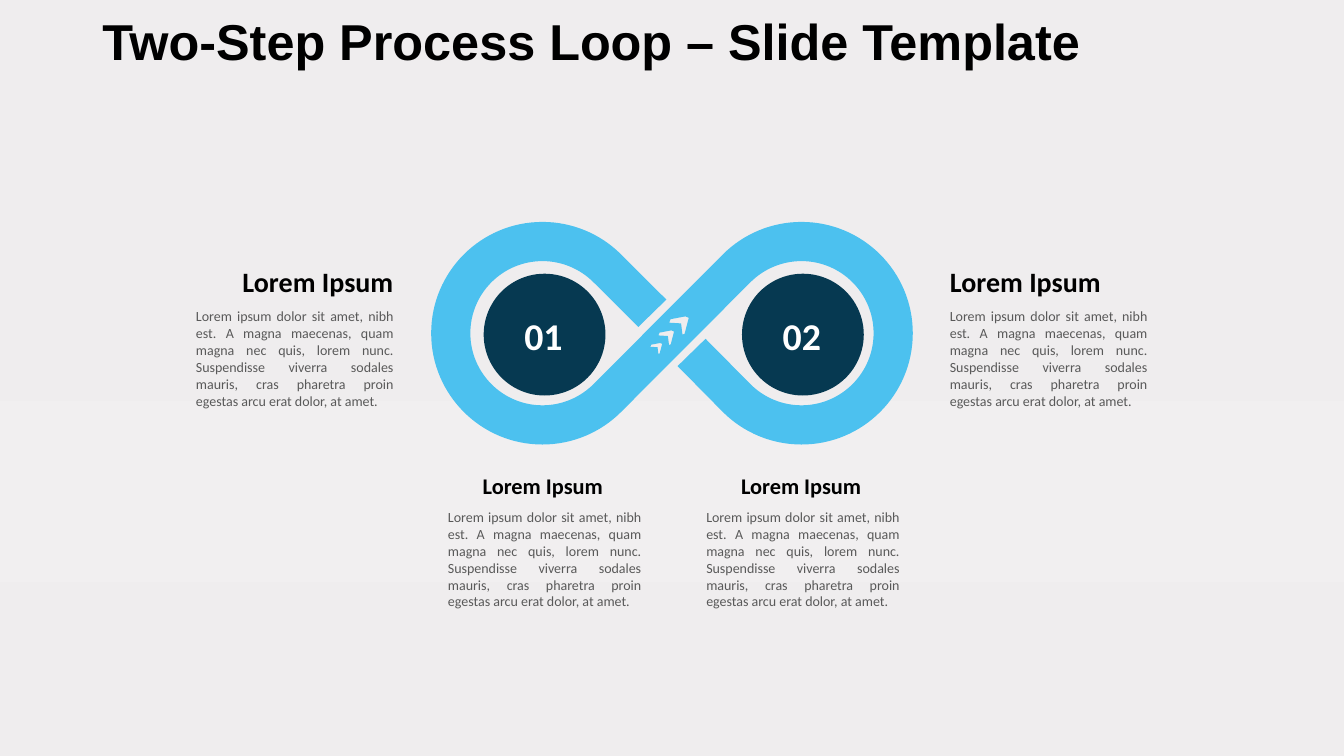
import copy
import math
import lxml.etree
import pptx
import pptx.dml.color
import pptx.enum.shapes
import pptx.enum.text
import pptx.oxml.ns
import pptx.util

PX = 6350  # EMU in one px, 144 px to the inch
FINE = 50  # outline units in one px

ALIGN = pptx.enum.text.PP_ALIGN
ANCHOR = pptx.enum.text.MSO_ANCHOR
FIT = pptx.enum.text.MSO_AUTO_SIZE

THEME = {
    "loop": "4CC1EF",
    "disc": "063951",
    "back": [(0, "EFEDEE"), (0.53, "F1EFF0"), (0.77, "EFEDEE"), (1, "EFEBEC")],
    "title": {"name": "Arial", "size": 36, "bold": True, "color": "000000"},
    "num": {"name": "Calibri", "size": 27, "bold": True, "color": "FFFFFF"},
    "large": {"name": "Calibri", "size": 20, "bold": True, "color": "000000"},
    "small": {"name": "Calibri", "size": 16, "bold": True, "color": "000000"},
    "body": {"name": "Calibri", "size": 10, "bold": False, "color": "595959"},
}

HEAD = "Lorem Ipsum"
BODY = ("Lorem ipsum dolor sit amet, nibh est. A magna maecenas, quam magna "
        "nec quis, lorem nunc. Suspendisse viverra sodales mauris, cras "
        "pharetra proin egestas arcu erat dolor, at amet.")

# Loop: ring centres, radii and the angles where arcs are split
LEFT, RIGHT = (775, 476), (1145, 476)
OUTER, INNER = 159, 103
WEST = [45, 90, 180, 270, 315]
EAST = [-135, -90, 0, 90, 135]

# Arrow mark relative to its corner, then corner and scale of each mark
MARK = [(0, 2), (-6, 25), (-9, 26), (-11, 10), (-28, 9), (-26, 4), (-5, 0)]
TIPS = [(946, 490, 0.6), (963, 472, 0.8), (984, 452, 1)]

# Text blocks: left, top, head width, head height, body width, style, align
BLOCKS = [
    (640, 667, 271, 53, 276, "small", ALIGN.CENTER),
    (1357, 370, 282, 63, 282, "large", ALIGN.LEFT),
    (280, 370, 282, 63, 282, "large", ALIGN.RIGHT),
    (1009, 667, 271, 53, 276, "small", ALIGN.CENTER),
]


def rgb(code):
    return pptx.dml.color.RGBColor.from_string(code)


def emu(*sizes):
    return [pptx.util.Emu(size * PX) for size in sizes]


def apply(item, values):
    for name, value in values.items():
        setattr(item, name, value)


def write(frame, text, style, align, **form):
    """Fill a text frame with one styled paragraph."""
    apply(frame, {"word_wrap": True, **form})
    para = frame.paragraphs[0]
    para.text, para.alignment = text, align
    look = dict(THEME[style])
    para.font.color.rgb = rgb(look.pop("color"))
    look["size"] = pptx.util.Pt(look["size"])
    apply(para.font, look)
    return para


def label(shapes, box, text, style, align, anchor, side=0):
    """Add a text box with equal side margins."""
    frame = shapes.add_textbox(*emu(*box)).text_frame
    left, top = emu(side, 7)
    write(frame, text, style, align, vertical_anchor=anchor,
          auto_size=FIT.SHAPE_TO_FIT_TEXT, margin_left=left,
          margin_right=left, margin_top=top, margin_bottom=top)


def block(slide, left, top, wide, high, span, style, align):
    """Group a heading with the text below it."""
    shapes = slide.shapes.add_group_shape().shapes
    label(shapes, (left, top, wide, high), HEAD, style, align, ANCHOR.BOTTOM)
    label(shapes, (left, top + high, span, 160), BODY, "body",
          ALIGN.JUSTIFY, ANCHOR.TOP)


def paint(shape, color):
    shape.shadow.inherit = False
    shape.fill.solid()
    shape.fill.fore_color.rgb = rgb(color)
    shape.line.fill.background()


def arc(centre, radius, turns):
    """Start point, then two handles and an end point for each curve."""
    def spot(deg, pull=0):
        cos, sin = math.cos(math.radians(deg)), math.sin(math.radians(deg))
        return (centre[0] + radius * (cos - pull * sin),
                centre[1] + radius * (sin + pull * cos))

    points = [spot(turns[0])]
    for start, end in zip(turns, turns[1:]):
        pull = 4 / 3 * math.tan(math.radians(end - start) / 4)
        points += [spot(start, pull), spot(end, -pull), spot(end)]
    return points


def bend(lines):
    """Turn each run of three line steps into one curve."""
    for first, *rest in zip(lines[::3], lines[1::3], lines[2::3]):
        curve = lxml.etree.Element(pptx.oxml.ns.qn("a:cubicBezTo"))
        first.addprevious(curve)
        for step in (first, *rest):
            curve.append(step[0])
            step.getparent().remove(step)


def loop(slide):
    """Draw the crossing band with the arrow marks cut out."""
    parts = [arc(LEFT, INNER, WEST), [(912, 467), (952, 428)],
             arc(LEFT, OUTER, WEST[::-1]),
             arc(RIGHT, INNER, EAST), [(1008, 484), (968, 523)],
             arc(RIGHT, OUTER, EAST[::-1])]
    marks = [[(x + size * dx, y + size * dy) for dx, dy in MARK]
             for x, y, size in TIPS]
    build = None
    for line in [sum(parts, [])] + marks:
        first, *rest = [(x * FINE, y * FINE) for x, y in line]
        if build is None:
            build = slide.shapes.build_freeform(*first, scale=PX / FINE)
        else:
            build.move_to(*first)
        build.add_line_segments(rest, close=True)
    shape = build.convert_to_shape()
    lines = list(shape.element.iter(pptx.oxml.ns.qn("a:lnTo")))
    start = 0
    for part in parts:
        if len(part) > 2:
            bend(lines[start:start + len(part) - 1])
        start += len(part)
    paint(shape, THEME["loop"])


def disc(slide, left):
    oval = pptx.enum.shapes.MSO_SHAPE.OVAL
    paint(slide.shapes.add_shape(oval, *emu(left, 391, 174, 174)), THEME["disc"])


def back(slide):
    """Set the four-stop page gradient, running down."""
    fill = slide.background.fill
    fill.gradient()
    fill.gradient_angle = 270
    stops = slide.element.find(".//" + pptx.oxml.ns.qn("a:gsLst"))
    while len(stops) < len(THEME["back"]):
        stops.append(copy.deepcopy(stops[0]))
    for stop, (place, color) in zip(fill.gradient_stops, THEME["back"]):
        stop.position = place
        stop.color.rgb = rgb(color)


def title(slide, text):
    head = slide.shapes.title
    apply(head, dict(zip(("left", "top", "width", "height"),
                         emu(132, 17, 1788, 117))))
    para = write(head.text_frame, text, "title", ALIGN.LEFT, margin_right=0,
                 vertical_anchor=ANCHOR.TOP, auto_size=FIT.NONE)
    para.line_spacing = 0.9


def main():
    deck = pptx.Presentation()
    deck.slide_width, deck.slide_height = emu(1920, 1080)
    slide = deck.slides.add_slide(deck.slide_layouts[5])
    back(slide)
    title(slide, "Two-Step Process Loop – Slide Template")

    # Discs, loop and step numbers
    steps = [("01", 691), ("02", 1060)]
    for _, left in steps:
        disc(slide, left)
    loop(slide)
    for text, left in steps:
        label(slide.shapes, (left + 36, 438, 99, 81), text, "num",
              ALIGN.CENTER, ANCHOR.MIDDLE, side=14)

    # Headings with text
    for part in BLOCKS:
        block(slide, *part)
    deck.save("out.pptx")


if __name__ == "__main__":
    main()
